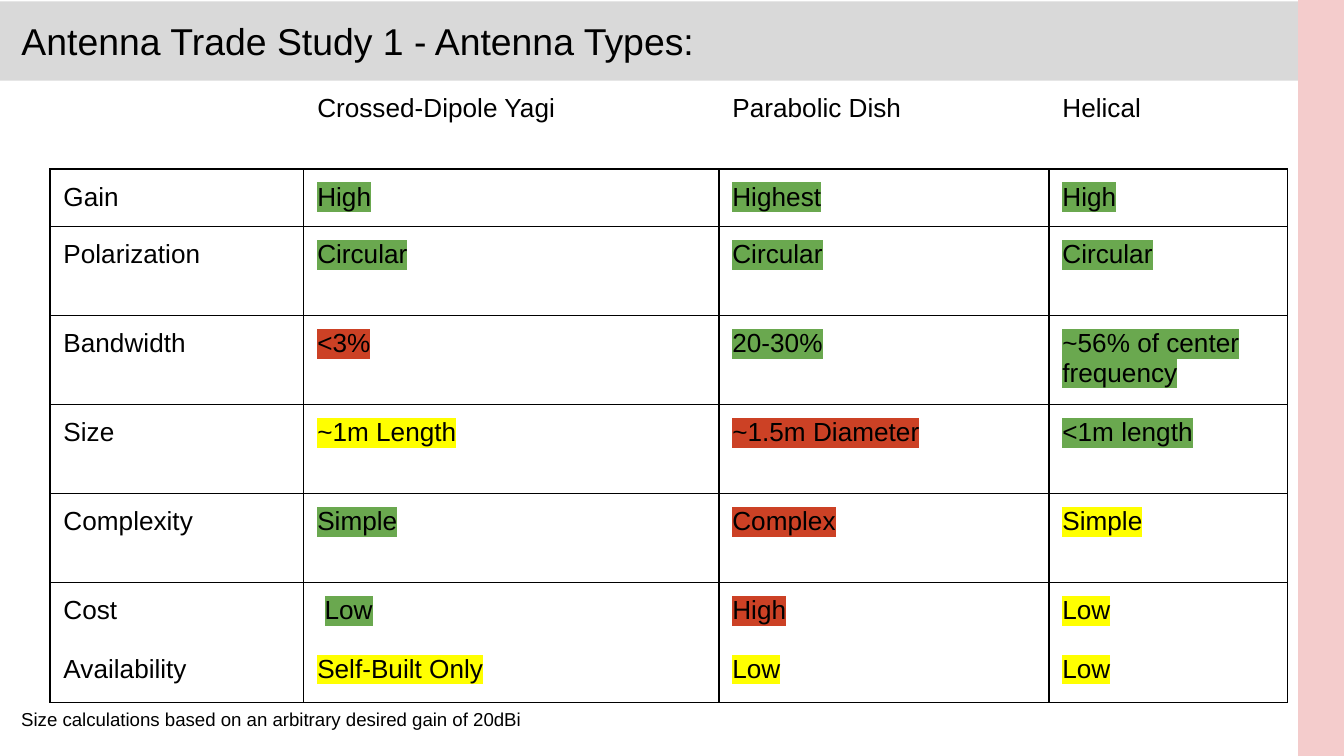
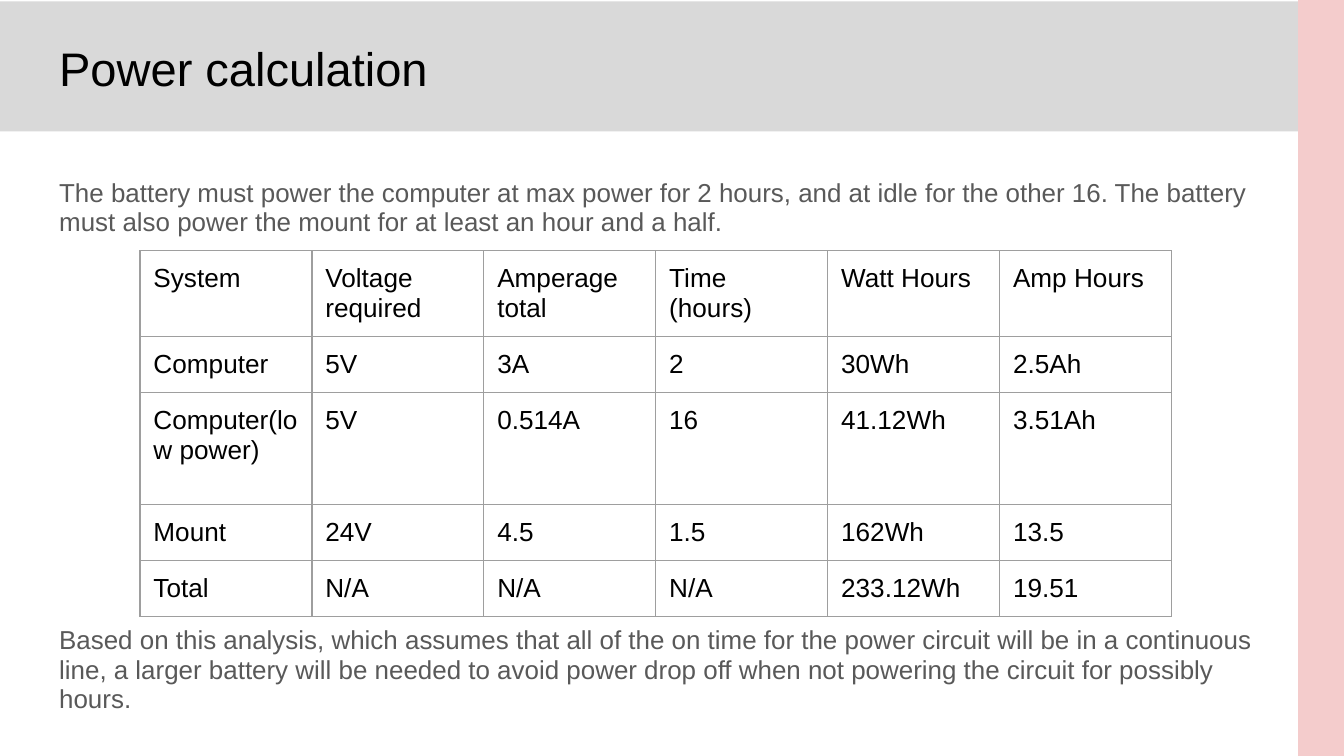
from lxml.etree import SubElement
from pptx import Presentation
from pptx.dml.color import RGBColor
from pptx.enum.shapes import MSO_SHAPE as Shape
from pptx.enum.text import MSO_ANCHOR as Anchor, MSO_AUTO_SIZE as AutoSize, PP_ALIGN as Align
from pptx.oxml.ns import qn
from pptx.util import Pt

BLACK = RGBColor(0x00, 0x00, 0x00)
BODY_GRAY = RGBColor(0x59, 0x59, 0x59)
BAND_GRAY = RGBColor(0xD9, 0xD9, 0xD9)
RULE_GRAY = RGBColor(0x9E, 0x9E, 0x9E)
PINK = RGBColor(0xF4, 0xCC, 0xCC)
RATINGS = {
    "G": RGBColor(0x6A, 0xA8, 0x4F),
    "Y": RGBColor(0xFF, 0xFF, 0x00),
    "R": RGBColor(0xCC, 0x41, 0x25),
}
FONT = "Arial"
INSET = Pt(7.2)
FRAME = {"word_wrap": True, "margin_left": INSET, "margin_right": INSET,
         "margin_top": INSET, "margin_bottom": INSET}
PLAIN = {"space_before": Pt(0), "space_after": Pt(0), "alignment": Align.LEFT}
BLANK_LINE = Pt(15.5)


def write(para, text, size, color, **layout):
    """Put one formatted run into a paragraph and return the run."""
    for key, value in {**PLAIN, **layout}.items():
        setattr(para, key, value)
    span = para.add_run()
    span.text = text
    span.font.size = Pt(size)
    span.font.color.rgb = color
    span.font.name = FONT
    return span


def add_grid(page, left, top, widths, heights, rows, rule, open_header=False):
    """Each row is a list of lines; a line is its texts and their rating letters."""
    frame = page.shapes.add_table(len(rows), len(widths), Pt(left), Pt(top),
                                  Pt(sum(widths)), Pt(sum(heights)))
    grid = frame.table
    grid.first_row = grid.horz_banding = False
    for column, width in zip(grid.columns, widths):
        column.width = Pt(width)
    for r, lines in enumerate(rows):
        grid.rows[r].height = Pt(heights[r])
        for c in range(len(widths)):
            cell = grid.cell(r, c)
            for side in ("left", "right", "top", "bottom"):
                setattr(cell, f"margin_{side}", INSET)
            cell.fill.background()

            # Borders
            props = cell._tc.get_or_add_tcPr()
            for place, side in enumerate("LRTB"):
                line = SubElement(props, qn(f"a:ln{side}"), w=str(Pt(0.75)))
                props.insert(place, line)
                if open_header and r == 0 and side != "B":
                    SubElement(line, qn("a:noFill"))
                else:
                    fill = SubElement(line, qn("a:solidFill"))
                    SubElement(fill, qn("a:srgbClr"), val=str(rule))

            # Text, with a highlight for each rating
            for number, (texts, marks) in enumerate(lines):
                if not texts[c]:
                    continue
                box = cell.text_frame
                para = box.add_paragraph() if number else box.paragraphs[0]
                span = write(para, texts[c], 14, BLACK,
                             space_before=BLANK_LINE if number else Pt(0))
                mark = marks[c:c + 1].strip()
                if mark:
                    look = span.font._element
                    glow = SubElement(look, qn("a:highlight"))
                    SubElement(glow, qn("a:srgbClr"), val=str(RATINGS[mark]))
                    look.find(qn("a:solidFill")).addnext(glow)
    return grid


deck = Presentation()
deck.slide_width, deck.slide_height = Pt(720), Pt(405)
TITLE_AND_BODY, TITLE_ONLY = deck.slide_layouts[1], deck.slide_layouts[5]

# Both pages: gray title band, pink side stripe, title
pages = []
for layout, title, size, place, band_height in (
    (TITLE_ONLY, "Antenna Trade Study 1 - Antenna Types:", 20, (4.32, 2.16, 440, 38.9), 42.5),
    (TITLE_AND_BODY, "Power calculation", 25.2, (24.5, 13, 671, 45.4), 69.8),
):
    page = deck.slides.add_slide(layout)
    pages.append(page)
    for order, (area, color) in enumerate((
        ((0, 0.72, 720, band_height), BAND_GRAY),
        ((695.5, 0, 24.5, 405), PINK),
    )):
        bar = page.shapes.add_shape(Shape.RECTANGLE, *map(Pt, area))
        bar.shadow.inherit = False
        bar.fill.solid()
        bar.fill.fore_color.rgb = color
        bar.line.fill.background()
        page.shapes._spTree.insert(2 + order, bar._element)  # behind the text

    head = page.shapes.title
    head.left, head.top, head.width, head.height = map(Pt, place)
    for key, value in {**FRAME, "auto_size": AutoSize.NONE,
                       "vertical_anchor": Anchor.BOTTOM}.items():
        setattr(head.text_frame, key, value)
    write(head.text_frame.paragraphs[0], title, size, BLACK)

antenna_page, power_page = pages

# Antenna comparison
antenna_rows = [
    [(("", "Crossed-Dipole Yagi", "Parabolic Dish", "Helical"), "")],
    [(("Gain", "High", "Highest", "High"), " GGG")],
    [(("Polarization", "Circular", "Circular", "Circular"), " GGG")],
    [(("Bandwidth", "<3%", "20-30%", "~56% of center frequency"), " RGG")],
    [(("Size", "~1m Length", "~1.5m Diameter", "<1m length"), " YRG")],
    [(("Complexity", "Simple", "Complex", "Simple"), " GRY")],
    [(("Cost", "Low", "High", "Low"), " GRY"),
     (("Availability", "Self-Built Only", "Low", "Low"), " YYY")],
]
antenna_grid = add_grid(antenna_page, 26.8, 43, (136, 222.4, 176.8, 128),
                        (47.5, 31, 47.7, 47.7, 47.7, 47.7, 64),
                        antenna_rows, BLACK, open_header=True)
low_cost = antenna_grid.cell(6, 1).text_frame.paragraphs[0]
low_cost._p.get_or_add_pPr().set("marL", str(Pt(3.9)))

# Footnote
note = antenna_page.shapes.add_textbox(Pt(4.32), Pt(373), Pt(330), Pt(26.6)).text_frame
for key, value in FRAME.items():
    setattr(note, key, value)
write(note.paragraphs[0], "Size calculations based on an arbitrary desired gain of 20dBi",
      10, BLACK)

# Power requirement and conclusion, above and below the table
body = power_page.placeholders[1]
body.left, body.top, body.width, body.height = map(Pt, (24.5, 88.5, 671, 316.5))
for key, value in {**FRAME, "auto_size": AutoSize.NONE,
                   "vertical_anchor": Anchor.TOP}.items():
    setattr(body.text_frame, key, value)
for text, gap in (
    ("The battery must power the computer at max power for 2 hours, and at idle for the "
     "other 16. The battery must also power the mount for at least an hour and a half.", 0),
    ("Based on this analysis, which assumes that all of the on time for the power circuit "
     "will be in a continuous line, a larger battery will be needed to avoid power drop off "
     "when not powering the circuit for possibly hours.", 208),
):
    para = body.text_frame.add_paragraph() if gap else body.text_frame.paragraphs[0]
    props = para._p.get_or_add_pPr()
    props.set("marL", "0")
    props.set("indent", "0")
    SubElement(props, qn("a:buNone"))
    write(para, text, 13.9, BODY_GRAY, space_before=Pt(gap), line_spacing=0.95)

# Power budget
power_rows = [
    ("System", "Voltage required", "Amperage total", "Time (hours)", "Watt Hours", "Amp Hours"),
    ("Computer", "5V", "3A", "2", "30Wh", "2.5Ah"),
    ("Computer(low power)", "5V", "0.514A", "16", "41.12Wh", "3.51Ah"),
    ("Mount", "24V", "4.5", "1.5", "162Wh", "13.5"),
    ("Total", "N/A", "N/A", "N/A", "233.12Wh", "19.51"),
]
add_grid(power_page, 75, 134.3, [92.1] * 6, (45.8, 30, 59.8, 30, 30),
         [[(texts, "")] for texts in power_rows], RULE_GRAY)

deck.save("out.pptx")
